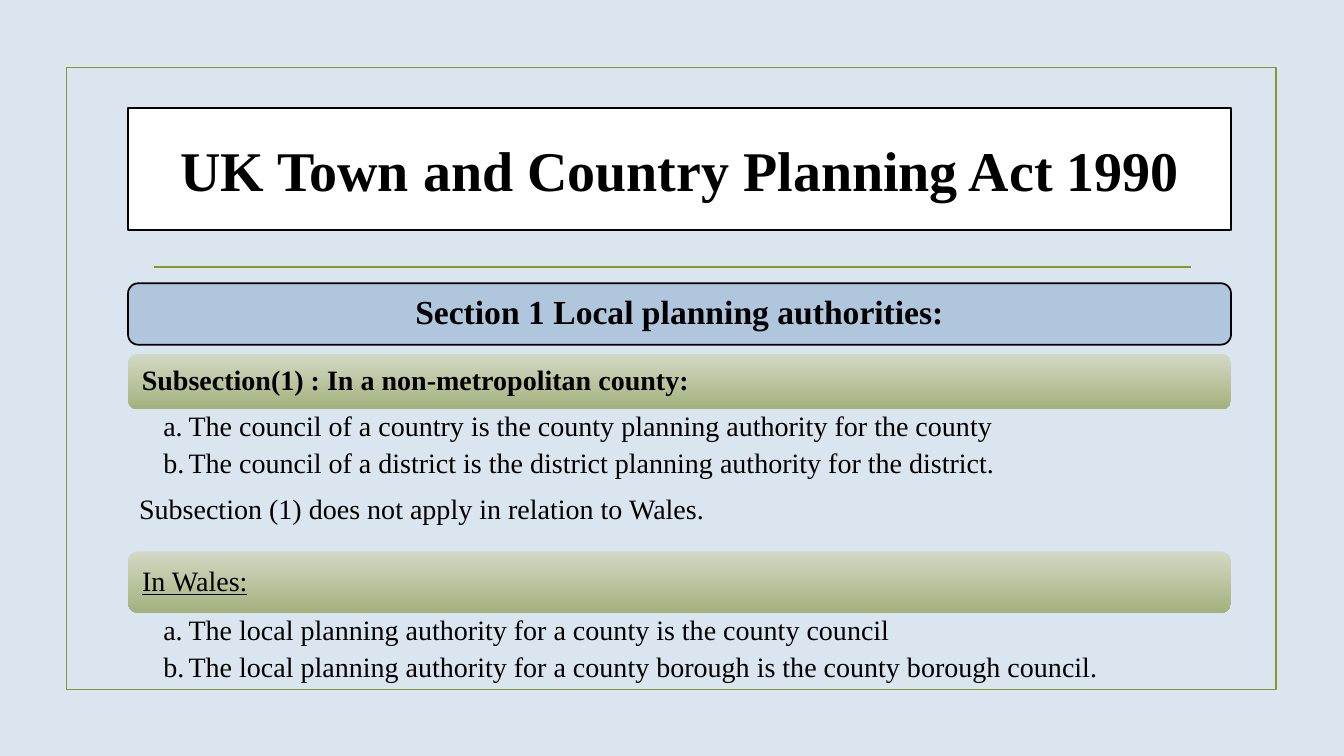
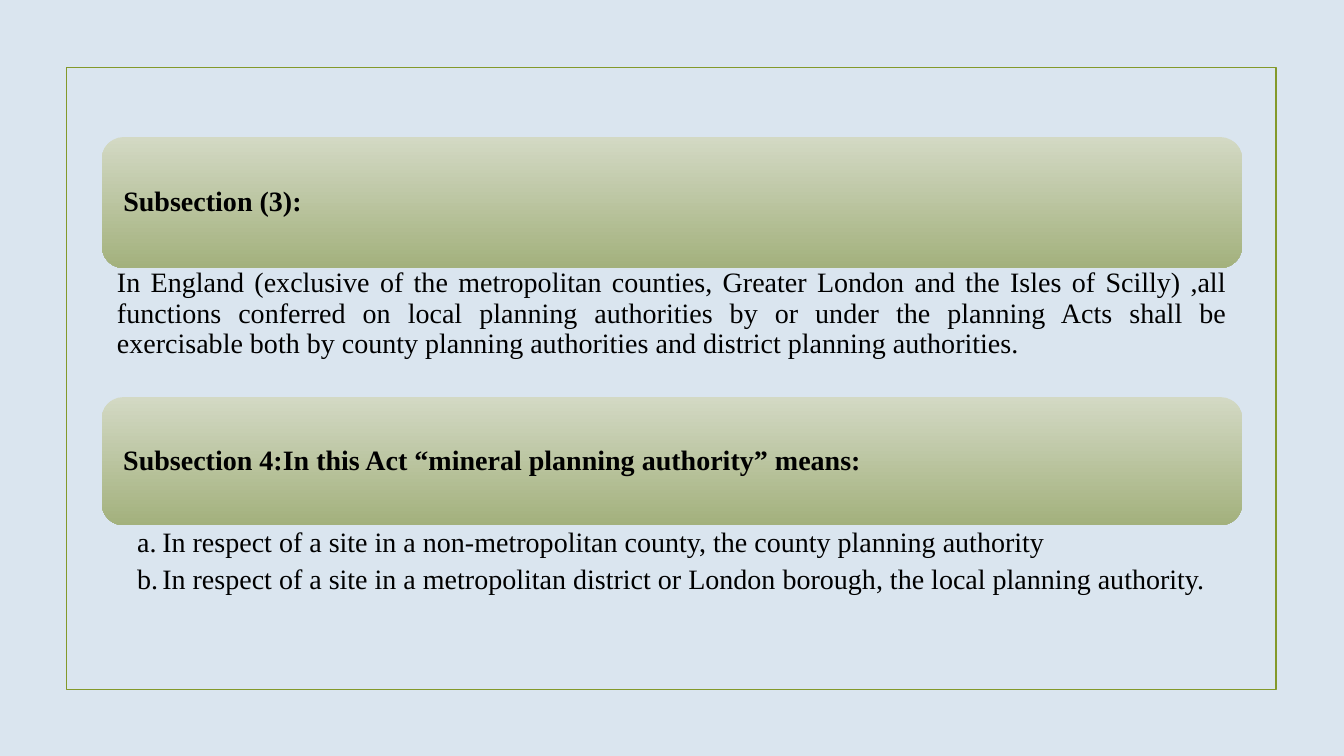
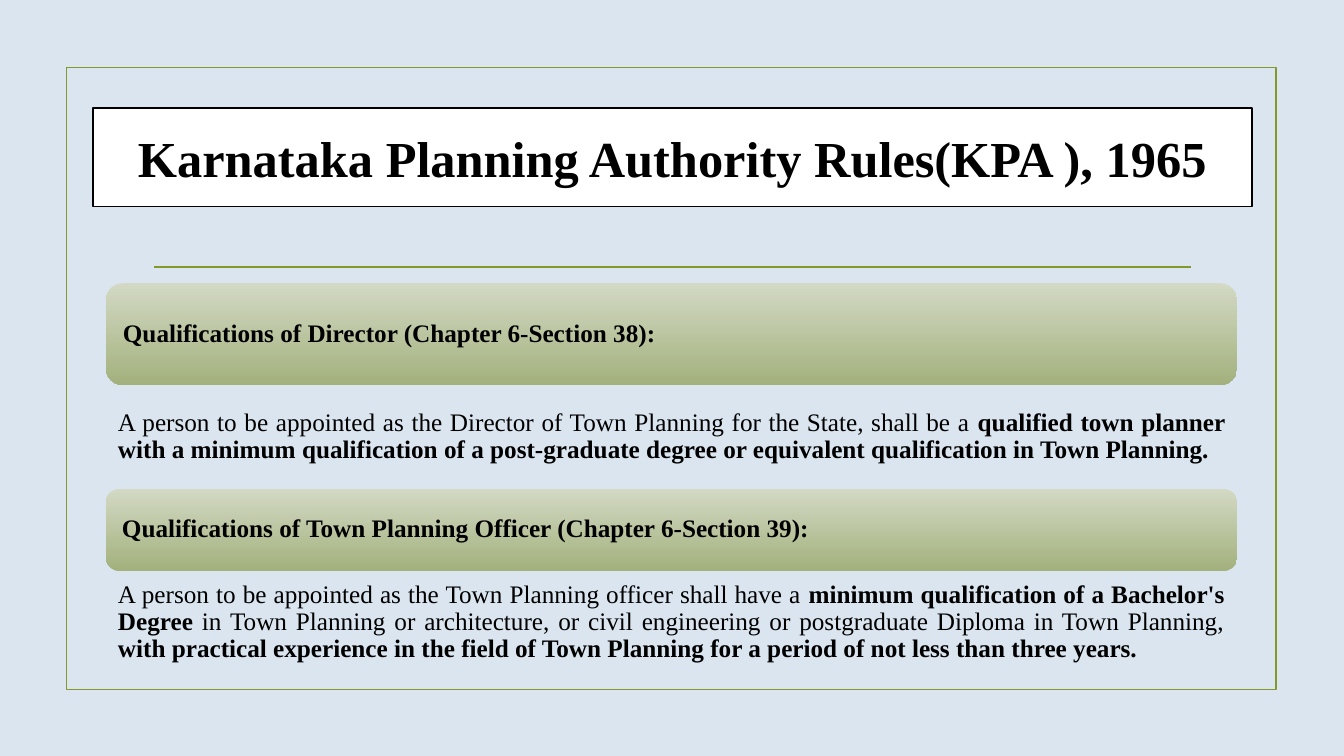
"""Build three slides on planning authorities and their officers."""
from lxml import etree
from pptx import Presentation, util as u
from pptx.dml.color import RGBColor
from pptx.enum import shapes, text
from pptx.oxml.ns import qn

FONT = "Times New Roman"
BLACK, WHITE, GREEN, BLUE, PALE = "000000", "FFFFFF", "83992A", "AFC6DD", "DAE5EF"
GRADIENT = ("D3D9C4", "A3B17D")
BOLD, UNDERLINED, PLAIN = {"bold": True}, {"underline": True}, {}
LEFT, CENTER, JUSTIFY = (text.PP_ALIGN.LEFT, text.PP_ALIGN.CENTER, text.PP_ALIGN.JUSTIFY)

SLIDES = [
    {
        "title": ("UK Town and Country Planning Act 1990", 40, (1.27, 1.07, 10.94, 1.21)),
        "left": 1.27, "width": 10.94, "inset": 0.11, "size": 20, "align": LEFT,
        "rows": [
            ("banner", 2.81, 0.61, [[("Section 1 Local planning authorities:", BOLD)]]),
            ("bar", 3.51, 0.55, [[("Subsection(1) : In a non-metropolitan county:", BOLD)]]),
            ("list", 4.06, 0.7, [
                [("The council of a country is the county planning authority for the county", PLAIN)],
                [("The council of a district is the district planning authority for the district.", PLAIN)],
            ]),
            ("body", 4.79, 0.55, [[("Subsection (1) does not apply in relation to Wales.", PLAIN)]]),
            ("bar", 5.47, 0.61, [[("In Wales:", UNDERLINED)]]),
            ("list", 6.08, 0.7, [
                [("The local planning authority for a county is the county council", PLAIN)],
                [("The local planning authority for a county borough is the county borough council.", PLAIN)],
            ]),
        ],
    },
    {
        "title": None,
        "left": 1.01, "width": 11.31, "inset": 0.15, "size": 20, "align": JUSTIFY,
        "rows": [
            ("bar", 1.36, 1.3, [[("Subsection (3):", BOLD)]]),
            ("body", 2.54, 1.15, [[(
                "In England (exclusive of the metropolitan counties, Greater London and the Isles of "
                "Scilly) ,all functions conferred on local planning authorities by or under the planning "
                "Acts shall be exercisable both by county planning authorities and district planning "
                "authorities.", PLAIN)]]),
            ("bar", 3.94, 1.27, [[("Subsection 4:In this Act “mineral planning authority” means:", BOLD)]]),
            ("list", 5.21, 1.12, [
                [("In respect of a site in a non-metropolitan county, the county planning authority", PLAIN)],
                [("In respect of a site in a metropolitan district or London borough, "
                  "the local planning authority.", PLAIN)],
            ]),
        ],
    },
    {
        "title": ("Karnataka Planning Authority Rules(KPA ), 1965", 36, (0.92, 1.07, 11.5, 0.98)),
        "left": 1.05, "width": 11.22, "inset": 0.12, "size": 18, "align": JUSTIFY,
        "rows": [
            ("bar", 2.81, 1.01, [[("Qualifications of Director (Chapter 6-Section 38):", BOLD)]]),
            ("body", 3.88, 0.91, [[
                ("A person to be appointed as the Director of Town Planning for the State, shall be a ", PLAIN),
                ("qualified town planner with a minimum qualification of a post-graduate degree or "
                 "equivalent qualification in Town Planning.", BOLD),
            ]]),
            ("bar", 4.85, 0.81, [[("Qualifications of Town Planning Officer (Chapter 6-Section 39):", BOLD)]]),
            ("body", 5.72, 0.91, [[
                ("A person to be appointed as the Town Planning officer shall have a ", PLAIN),
                ("minimum qualification of a Bachelor's Degree", BOLD),
                (" in Town Planning or architecture, or civil engineering or postgraduate Diploma "
                 "in Town Planning, ", PLAIN),
                ("with practical experience in the field of Town Planning for a period of not less "
                 "than three years.", BOLD),
            ]]),
        ],
    },
]


def color(value):
    return RGBColor.from_string(value)


def apply(target, values):
    for name, value in values.items():
        setattr(target, name, value)


def inches(*values):
    return [u.Inches(value) for value in values]


def paint(item, fill=None):
    if fill:
        item.fill.solid()
        item.fill.fore_color.rgb = color(fill)
    else:
        item.fill.background()


def outline(item, value):
    item.line.color.rgb = color(value)
    item.line.width = u.Pt(1.25)


def write(para, spans, size):
    for words, style in spans:
        span = para.add_run()
        span.text = words
        apply(span.font, {"name": FONT, "size": u.Pt(size), **style})
        span.font.color.rgb = color(BLACK)


def number(para):
    properties = para._p.get_or_add_pPr()
    properties.set("marL", str(u.Inches(0.25)))
    properties.set("indent", str(-u.Inches(0.25)))
    etree.SubElement(properties, qn("a:buAutoNum"), type="alphaLcPeriod")


def add_frame(page, ruled):
    frame = page.shapes.add_shape(shapes.MSO_SHAPE.RECTANGLE, *inches(0.66, 0.67, 12, 6.17))
    frame.shadow.inherit = False
    paint(frame)
    outline(frame, GREEN)
    if ruled:
        rule = page.shapes.add_connector(shapes.MSO_CONNECTOR.STRAIGHT, *inches(1.53, 2.65, 11.81, 2.65))
        outline(rule, GREEN)
        etree.SubElement(rule._element.spPr, qn("a:effectLst"))


def set_title(page, words, size, place):
    title = page.shapes.title
    apply(title, dict(zip(("left", "top", "width", "height"), inches(*place))))
    paint(title, WHITE)
    outline(title, BLACK)
    apply(title.text_frame, {"auto_size": text.MSO_AUTO_SIZE.NONE, "word_wrap": True,
                             "vertical_anchor": text.MSO_ANCHOR.MIDDLE})
    para = title.text_frame.paragraphs[0]
    para.alignment = CENTER
    write(para, [(words, BOLD)], size)


def add_row(page, content, kind, top, height, paragraphs):
    place = inches(content["left"], top, content["width"], height)
    if kind in ("bar", "banner"):
        box = page.shapes.add_shape(shapes.MSO_SHAPE.ROUNDED_RECTANGLE, *place)
        box.shadow.inherit = False
    else:
        box = page.shapes.add_textbox(*place)
    if kind == "banner":
        paint(box, BLUE)
        outline(box, BLACK)
    elif kind == "bar":
        box.fill.gradient()
        box.fill.gradient_angle = 270
        for stop, value in zip(box.fill.gradient_stops, GRADIENT):
            stop.color.rgb = color(value)
        box.line.fill.background()

    listed = kind == "list"
    inset = content["inset"]
    frame = box.text_frame
    apply(frame, {
        "word_wrap": True,
        "vertical_anchor": text.MSO_ANCHOR.TOP if listed else text.MSO_ANCHOR.MIDDLE,
        "margin_left": u.Inches(0.35 if listed else inset),
        "margin_right": u.Inches(0.16 if listed else inset),
        "margin_top": u.Inches(0.03),
        "margin_bottom": u.Inches(0.03),
    })
    for index, spans in enumerate(paragraphs):
        para = frame.add_paragraph() if index else frame.paragraphs[0]
        if listed:
            number(para)
        apply(para, {"alignment": CENTER if kind == "banner" else content["align"],
                     "line_spacing": 0.9, "space_after": u.Pt(5 if listed else 0)})
        write(para, spans, 24 if kind == "banner" else content["size"])


def main():
    deck = Presentation()
    deck.slide_width, deck.slide_height = inches(13.33, 7.5)
    paint(deck.slide_master.background, PALE)
    for content in SLIDES:
        titled = content["title"] is not None
        page = deck.slides.add_slide(deck.slide_layouts[5 if titled else 6])
        add_frame(page, ruled=titled)
        if titled:
            set_title(page, *content["title"])
        for row in content["rows"]:
            add_row(page, content, *row)
    deck.save("out.pptx")


if __name__ == "__main__":
    main()
